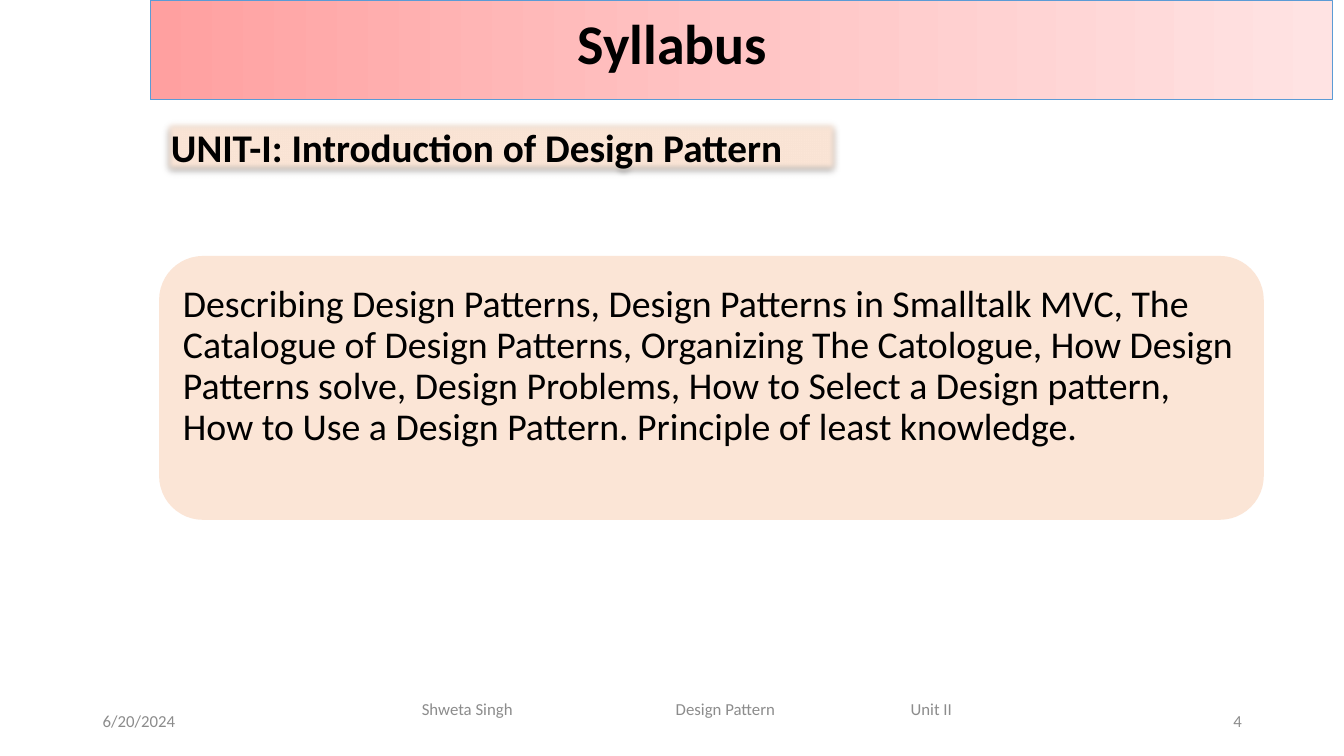
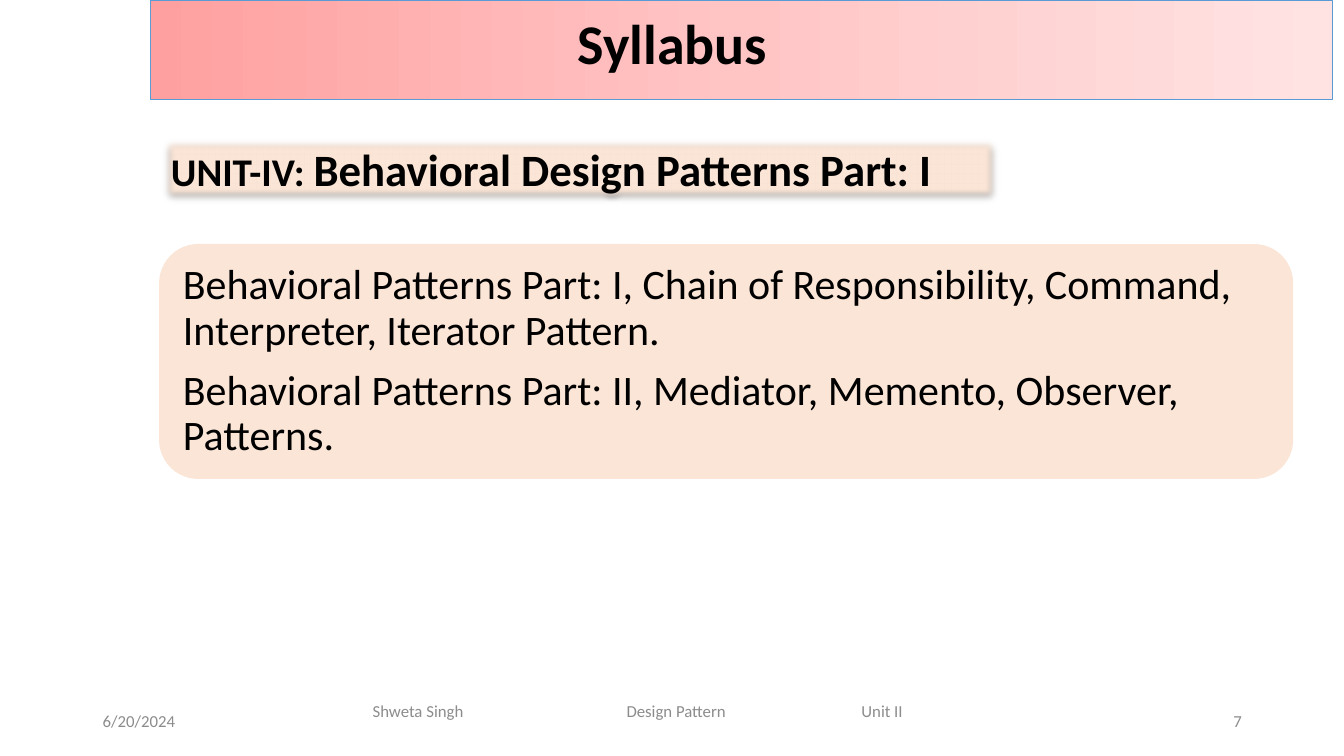
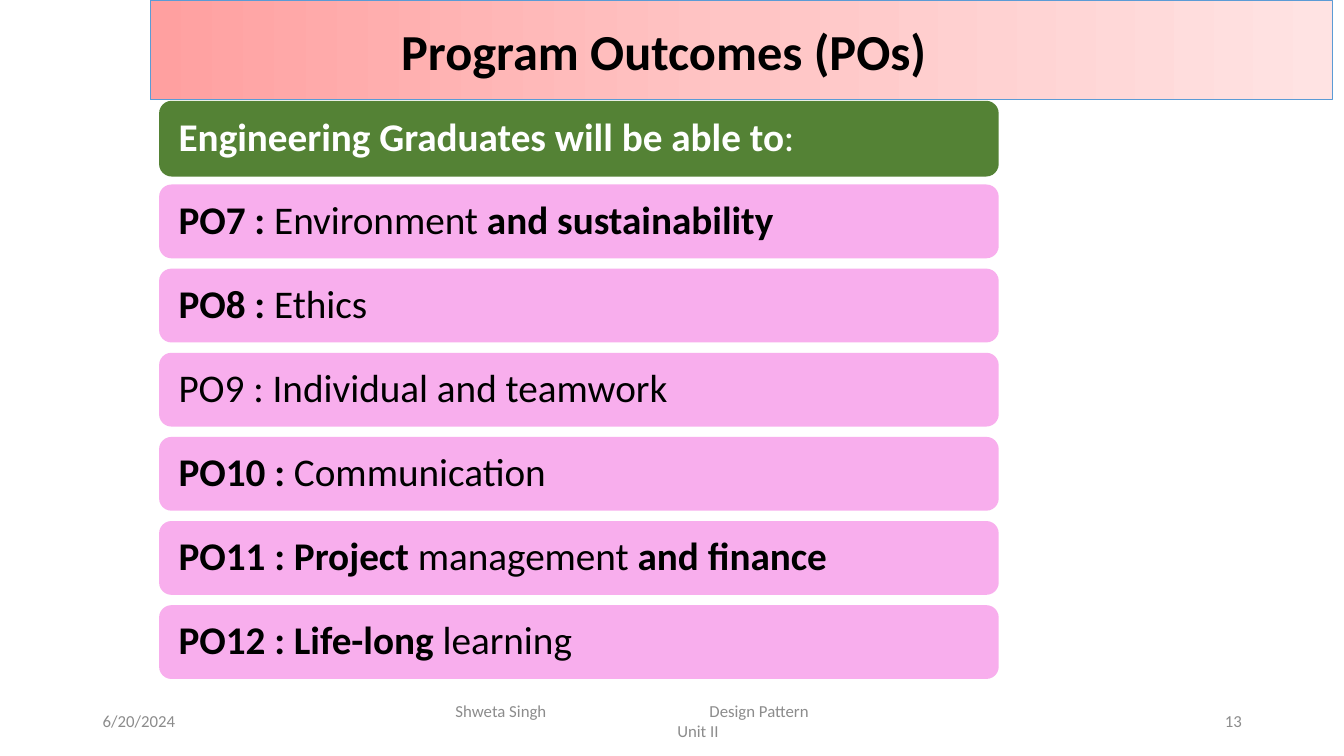
from copy import deepcopy
from dataclasses import dataclass

from lxml import etree
from pptx import Presentation
from pptx.dml.color import RGBColor
from pptx.enum.shapes import MSO_SHAPE
from pptx.enum.text import MSO_ANCHOR, MSO_AUTO_SIZE, PP_ALIGN
from pptx.oxml import parse_xml
from pptx.oxml.ns import nsdecls, qn
from pptx.util import Cm, Pt

RECT, ROUNDED = MSO_SHAPE.RECTANGLE, MSO_SHAPE.ROUNDED_RECTANGLE
TOP, MIDDLE = MSO_ANCHOR.TOP, MSO_ANCHOR.MIDDLE
LEFT, CENTER, RIGHT, JUSTIFY = PP_ALIGN.LEFT, PP_ALIGN.CENTER, PP_ALIGN.RIGHT, PP_ALIGN.JUSTIFY
NO_AUTOFIT = MSO_AUTO_SIZE.NONE

BLACK = RGBColor(0x00, 0x00, 0x00)
WHITE = RGBColor(0xFF, 0xFF, 0xFF)
GREY = RGBColor(0x8C, 0x8C, 0x8C)
PEACH = RGBColor(0xFB, 0xE5, 0xD6)
GREEN = RGBColor(0x54, 0x82, 0x35)
PINK = RGBColor(0xF8, 0xAE, 0xED)
BAND_LINE = RGBColor(0x5B, 0x9B, 0xD5)
BAND_STOPS = (
    (0, RGBColor(0xFF, 0xA0, 0xA0)),
    (0.5, RGBColor(0xFF, 0xC5, 0xC5)),
    (1, RGBColor(0xFF, 0xE3, 0xE3)),
)
FONT = "Calibri"
FOOTER_TABS = (6.4, 12.32)
PANEL_PAD = 0.3
OUTCOME_LEFT, OUTCOME_WIDTH = 4.01, 21.16
OUTCOME_TOP, OUTCOME_PITCH, OUTCOME_HEIGHT = 4.65, 2.12, 1.86


@dataclass(frozen=True)
class Box:
    left: float
    top: float
    width: float
    height: float

    def lengths(self):
        return Cm(self.left), Cm(self.top), Cm(self.width), Cm(self.height)

    def shrunk(self, pad: float) -> "Box":
        return Box(self.left + pad, self.top + pad, self.width - 2 * pad, self.height - 2 * pad)


@dataclass(frozen=True)
class Span:
    text: str
    bold: bool | None = None
    size: float | None = None


@dataclass(frozen=True)
class Heading:
    text: str
    box: Box
    size: float


@dataclass(frozen=True)
class Footer:
    box: Box
    inset: float
    lines: tuple = (("Shweta Singh\tDesign Pattern\tUnit II", FOOTER_TABS),)


@dataclass(frozen=True)
class Unit:
    number: str
    footer: Footer
    heading_box: Box
    heading: tuple[Span, ...]
    panel: Box
    topics: tuple[str, ...]
    topic_size: float
    bottom_inset: float = PANEL_PAD


SYLLABUS = Heading("Syllabus", Box(8.48, 0.08, 16.94, 1.96), 40)
OUTCOMES_TITLE = Heading("Program Outcomes (POs)", Box(8.26, 0.38, 16.94, 1.8), 36)

UNITS = (
    Unit(
        "4",
        Footer(Box(9.45, 17.35, 15.75, 1.02), 1.18),
        Box(4.06, 2.97, 17.15, 1.45),
        (Span("UNIT-I: Introduction of Design Pattern", size=28),),
        Box(4.01, 6.45, 27.84, 6.65),
        (
            "Describing Design Patterns, Design Patterns in Smalltalk MVC, The Catalogue of "
            "Design Patterns, Organizing The Catologue, How Design Patterns solve, Design "
            "Problems, How to Select a Design pattern, How to Use a Design Pattern. "
            "Principle of least knowledge.",
        ),
        27,
        1.37,
    ),
    Unit(
        "7",
        Footer(Box(7.01, 17.4, 18.16, 1.02), 2.38),
        Box(4.06, 3.45, 21.11, 1.63),
        (Span("UNIT-IV: ", size=28), Span("Behavioral Design Patterns Part: I", size=32)),
        Box(4.01, 6.15, 28.58, 5.92),
        (
            "Behavioral Patterns Part: I, Chain of Responsibility, Command, Interpreter, "
            "Iterator Pattern.",
            "Behavioral Patterns Part: II, Mediator, Memento, Observer, Patterns.",
        ),
        30,
    ),
)

OUTCOMES_FOOTER = Footer(
    Box(11.23, 17.65, 11.43, 1.02),
    0.25,
    (("Shweta Singh\tDesign Pattern", FOOTER_TABS[:1]), ("\tUnit II", (5.59,))),
)
OUTCOMES_LEAD = (Span("Engineering Graduates will be able to", True), Span(":", False))
OUTCOMES = (
    (Span("PO7 : ", True), Span("Environment", False), Span(" and sustainability", True)),
    (Span("PO8 : ", True), Span("Ethics", False)),
    (Span("PO9 : Individual and teamwork", False),),
    (Span("PO10 : ", True), Span("Communication", False)),
    (Span("PO11 : Project ", True), Span("management", False), Span(" and finance", True)),
    (Span("PO12 : Life-long ", True), Span("learning", False)),
)


def set_font(paragraph, size: float | None, color: RGBColor, bold: bool | None = None) -> None:
    font = paragraph.font
    font.name = FONT
    font.color.rgb = color
    font.bold = bold
    if size:
        font.size = Pt(size)


def add_spans(paragraph, spans: tuple[Span, ...]) -> None:
    for span in spans:
        run = paragraph.add_run()
        run.text = span.text
        if span.bold is not None:
            run.font.bold = span.bold
        if span.size:
            run.font.size = Pt(span.size)


def set_frame(frame, anchor, side: float = 0.25, edge: float = 0.13) -> None:
    frame.word_wrap = True
    frame.auto_size = NO_AUTOFIT
    frame.vertical_anchor = anchor
    frame.margin_left = frame.margin_right = Cm(side)
    frame.margin_top = frame.margin_bottom = Cm(edge)


def place(shape, box: Box) -> None:
    shape.left, shape.top, shape.width, shape.height = box.lengths()


def add_block(slide, preset, box: Box, color: RGBColor):
    block = slide.shapes.add_shape(preset, *box.lengths())
    block.shadow.inherit = False
    block.fill.solid()
    block.fill.fore_color.rgb = color
    block.line.fill.background()
    return block


def add_title_band(master, slide) -> None:
    band = slide.shapes.add_shape(RECT, *Box(3.78, 0, 29.79, 2.51).lengths())
    band.shadow.inherit = False
    band.line.color.rgb = BAND_LINE
    band.line.width = Pt(0.5)
    band.fill.gradient()
    band.fill.gradient_angle = 0
    stop_list = band.element.find(".//" + qn("a:gsLst"))
    stop_list.insert(1, deepcopy(stop_list[0]))
    for stop, (position, color) in zip(band.fill.gradient_stops, BAND_STOPS):
        stop.position = position
        stop.color.rgb = color
    master.element.cSld.spTree.insert(2, band.element)


def add_title(slide, heading: Heading) -> None:
    title = slide.shapes.title
    place(title, heading.box)
    set_frame(title.text_frame, TOP)
    paragraph = title.text_frame.paragraphs[0]
    paragraph.text = heading.text
    paragraph.alignment = CENTER
    set_font(paragraph, heading.size, BLACK, True)


def add_note(slide, box: Box, text: str, align) -> None:
    frame = slide.shapes.add_textbox(*box.lengths()).text_frame
    set_frame(frame, MIDDLE)
    paragraph = frame.paragraphs[0]
    paragraph.text = text
    paragraph.alignment = align
    set_font(paragraph, 12, GREY)


def add_footer(slide, footer: Footer, number: str) -> None:
    add_note(slide, Box(2.34, 17.65, 7.62, 1.02), "6/20/2024", LEFT)
    add_note(slide, Box(23.93, 17.65, 7.62, 1.02), number, RIGHT)
    frame = slide.shapes.add_textbox(*footer.box.lengths()).text_frame
    set_frame(frame, MIDDLE)
    frame.margin_left = Cm(footer.inset)
    for index, (text, tabs) in enumerate(footer.lines):
        paragraph = frame.add_paragraph() if index else frame.paragraphs[0]
        paragraph.text = text
        tab_list = etree.SubElement(paragraph._p.get_or_add_pPr(), qn("a:tabLst"))
        for tab in tabs:
            etree.SubElement(tab_list, qn("a:tab"), pos=str(int(Cm(tab))), algn="l")
        set_font(paragraph, 12, GREY)


def add_unit_heading(slide, unit: Unit) -> None:
    block = add_block(slide, RECT, unit.heading_box, PEACH)
    properties = block.element.spPr
    properties.remove(properties.find(qn("a:effectLst")))
    properties.append(parse_xml(
        f'<a:effectLst {nsdecls("a")}>'
        '<a:outerShdw blurRad="40000" dist="23000" dir="5400000" rotWithShape="0">'
        '<a:srgbClr val="000000"><a:alpha val="35000"/></a:srgbClr></a:outerShdw>'
        '<a:softEdge rad="63500"/></a:effectLst>'
    ))
    set_frame(block.text_frame, TOP)
    paragraph = block.text_frame.paragraphs[0]
    paragraph.alignment = JUSTIFY
    set_font(paragraph, None, BLACK, True)
    add_spans(paragraph, unit.heading)


def add_topics(slide, unit: Unit) -> None:
    add_block(slide, ROUNDED, unit.panel, PEACH)
    body = slide.placeholders[1]
    place(body, unit.panel.shrunk(PANEL_PAD))
    slide.shapes.element.append(body.element)
    frame = body.text_frame
    set_frame(frame, MIDDLE, PANEL_PAD, PANEL_PAD)
    frame.margin_bottom = Cm(unit.bottom_inset)
    for index, topic in enumerate(unit.topics):
        paragraph = frame.add_paragraph() if index else frame.paragraphs[0]
        paragraph.text = topic
        properties = paragraph._p.get_or_add_pPr()
        properties.set("marL", "0")
        properties.set("indent", "0")
        etree.SubElement(properties, qn("a:buNone"))
        paragraph.line_spacing = 0.9
        paragraph.space_before = Pt(0)
        paragraph.space_after = Pt(0.35 * unit.topic_size)
        set_font(paragraph, unit.topic_size, BLACK)


def add_outcome(slide, top: float, height: float, spans: tuple[Span, ...],
                fill: RGBColor, color: RGBColor) -> None:
    block = add_block(slide, ROUNDED, Box(OUTCOME_LEFT, top, OUTCOME_WIDTH, height), fill)
    set_frame(block.text_frame, MIDDLE, 0.4, 0.3)
    paragraph = block.text_frame.paragraphs[0]
    paragraph.alignment = LEFT
    paragraph.line_spacing = 0.9
    set_font(paragraph, 28, color)
    add_spans(paragraph, spans)


def main() -> None:
    deck = Presentation()
    deck.slide_width, deck.slide_height = Cm(33.87), Cm(19.05)
    content_layout, title_layout = deck.slide_layouts[1], deck.slide_layouts[5]

    for unit in UNITS:
        slide = deck.slides.add_slide(content_layout)
        add_title(slide, SYLLABUS)
        add_footer(slide, unit.footer, unit.number)
        add_unit_heading(slide, unit)
        add_topics(slide, unit)

    slide = deck.slides.add_slide(title_layout)
    add_title_band(deck.slide_master, slide)
    add_title(slide, OUTCOMES_TITLE)
    add_footer(slide, OUTCOMES_FOOTER, "13")
    add_outcome(slide, 2.54, 1.91, OUTCOMES_LEAD, GREEN, WHITE)
    for index, outcome in enumerate(OUTCOMES):
        top = OUTCOME_TOP + index * OUTCOME_PITCH
        add_outcome(slide, top, OUTCOME_HEIGHT, outcome, PINK, BLACK)

    deck.save("out.pptx")


if __name__ == "__main__":
    main()
